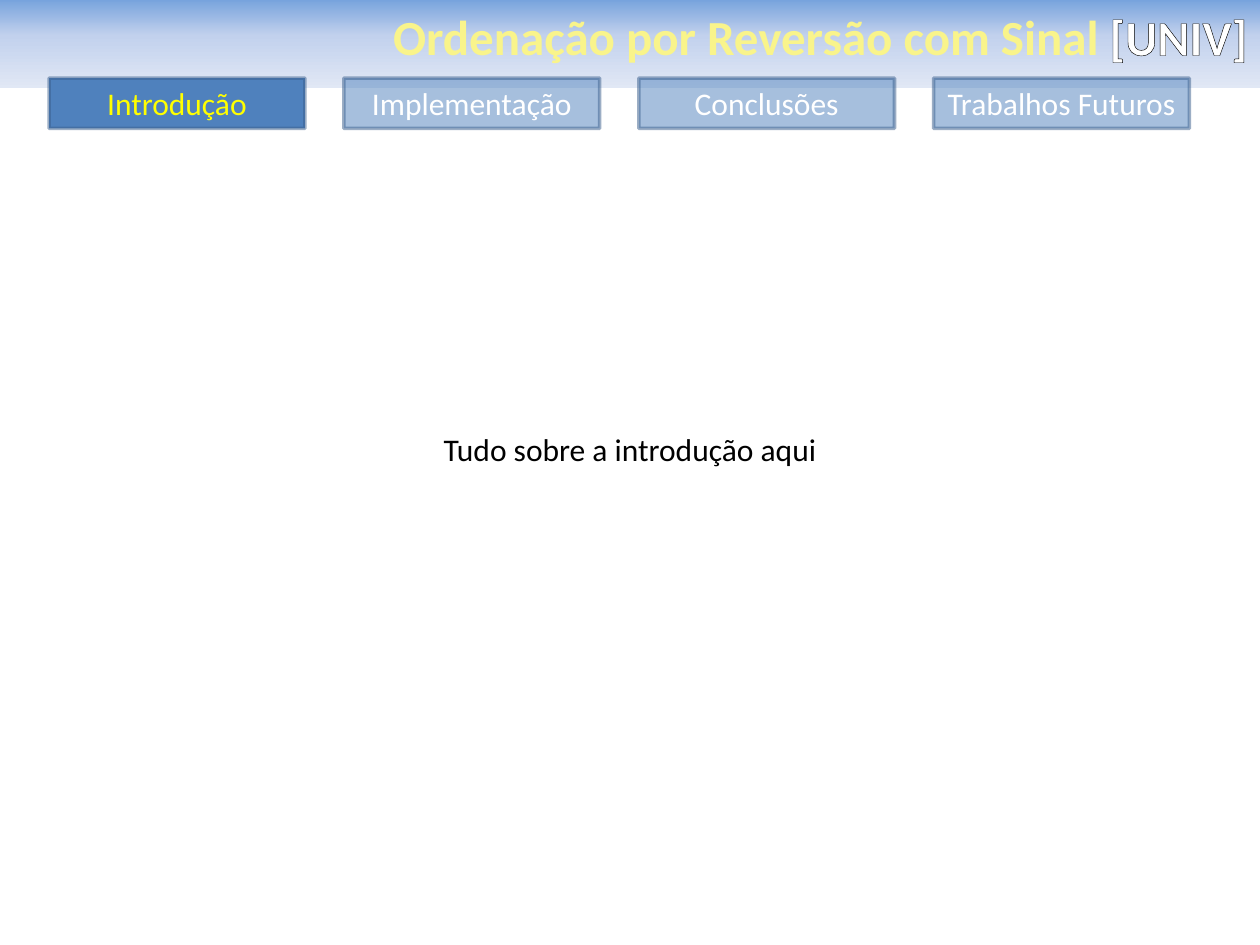
from copy import deepcopy
from dataclasses import dataclass

from lxml.etree import SubElement
from pptx import Presentation
from pptx.dml.color import RGBColor
from pptx.enum.shapes import MSO_SHAPE
from pptx.enum.text import MSO_ANCHOR, MSO_AUTO_SIZE, PP_ALIGN
from pptx.oxml import parse_xml
from pptx.oxml.ns import nsdecls, qn
from pptx.util import Inches, Pt


@dataclass(frozen=True)
class Theme:
    font: str = "Calibri"
    title_size: int = 28
    body_size: int = 18
    title: str = "F9F48B"
    white: str = "FFFFFF"
    black: str = "000000"
    active: str = "FFFF00"
    tab: str = "4F81BD"
    edge: str = "3A5F8C"
    banner: tuple = ((0, "558ED5"), (0.5, "C2D1ED"), (1, "E1E8F5"))


def rgb(code):
    return RGBColor.from_string(code)


def fade(fill, percent):
    """Set the opacity of the solid colour below the given element."""
    color = fill.find(".//" + qn("a:srgbClr"))
    SubElement(color, qn("a:alpha"), val=str(percent * 1000))


def write(para, text, *, font, size, color, bold=False, outline=None):
    run = para.add_run()
    run.text = text
    run.font.name = font
    run.font.size = Pt(size)
    run.font.bold = bold
    run.font.color.rgb = rgb(color)
    if outline:
        line = parse_xml(
            f'<a:ln {nsdecls("a")} w="{Pt(0.75)}"><a:solidFill>'
            f'<a:srgbClr val="{outline}"/></a:solidFill></a:ln>')
        run.font._element.insert(0, line)


class Deck:
    """Holds the theme and the current slide."""

    def __init__(self, theme):
        self.theme = theme
        self.show = Presentation()
        self.show.slide_width = Inches(10)
        self.show.slide_height = Inches(7.5)
        self.slide = self.show.slides.add_slide(self.show.slide_layouts[5])

    def para(self, shape, align):
        frame = shape.text_frame
        frame.word_wrap = True
        frame.auto_size = MSO_AUTO_SIZE.SHAPE_TO_FIT_TEXT
        frame.vertical_anchor = MSO_ANCHOR.MIDDLE
        frame.paragraphs[0].alignment = align
        return frame.paragraphs[0]

    def banner(self, parts):
        """Format the title from (text, colour) pairs on a gradient."""
        title = self.slide.shapes.title
        title.left, title.top = Inches(0), Inches(0)
        title.width, title.height = Inches(10), Inches(0.57)
        title.fill.gradient()
        title.fill.gradient_angle = 270
        stops = title._element.spPr.find(".//" + qn("a:gsLst"))
        stops.append(deepcopy(stops[0]))
        for stop, (place, color) in zip(title.fill.gradient_stops,
                                        self.theme.banner):
            stop.position = place
            stop.color.rgb = rgb(color)
        para = self.para(title, PP_ALIGN.RIGHT)
        for text, color in parts:
            write(para, text, font=self.theme.font, size=self.theme.title_size,
                  color=color, bold=True, outline=self.theme.black)

    def tab(self, text, left, active):
        theme = self.theme
        box = self.slide.shapes.add_shape(
            MSO_SHAPE.RECTANGLE, Inches(left), Inches(0.62),
            Inches(2.03), Inches(0.4))
        box.shadow.inherit = False
        box.fill.solid()
        box.fill.fore_color.rgb = rgb(theme.tab)
        if not active:
            fade(box._element.spPr.find(qn("a:solidFill")), 50)
        box.line.color.rgb = rgb(theme.edge)
        box.line.width = Pt(2)
        fade(box._element.spPr.find(qn("a:ln")), 50)
        write(self.para(box, PP_ALIGN.CENTER), text, font=theme.font,
              size=theme.body_size,
              color=theme.active if active else theme.white)

    def note(self, text, top):
        box = self.slide.shapes.add_textbox(
            Inches(0), Inches(top), Inches(10), Inches(0.4))
        write(self.para(box, PP_ALIGN.CENTER), text, font=self.theme.font,
              size=self.theme.body_size, color=self.theme.black)


def main():
    theme = Theme()
    deck = Deck(theme)
    deck.banner([("Ordenação por Reversão com Sinal", theme.title),
                 (" [UNIV]", theme.white)])
    tabs = ["Introdução", "Implementação", "Conclusões", "Trabalhos Futuros"]
    for i, name in enumerate(tabs):
        deck.tab(name, 0.39 + i * 2.34, active=i == 0)
    deck.note("Tudo sobre a introdução aqui", 3.36)
    deck.show.save("out.pptx")


if __name__ == "__main__":
    main()
